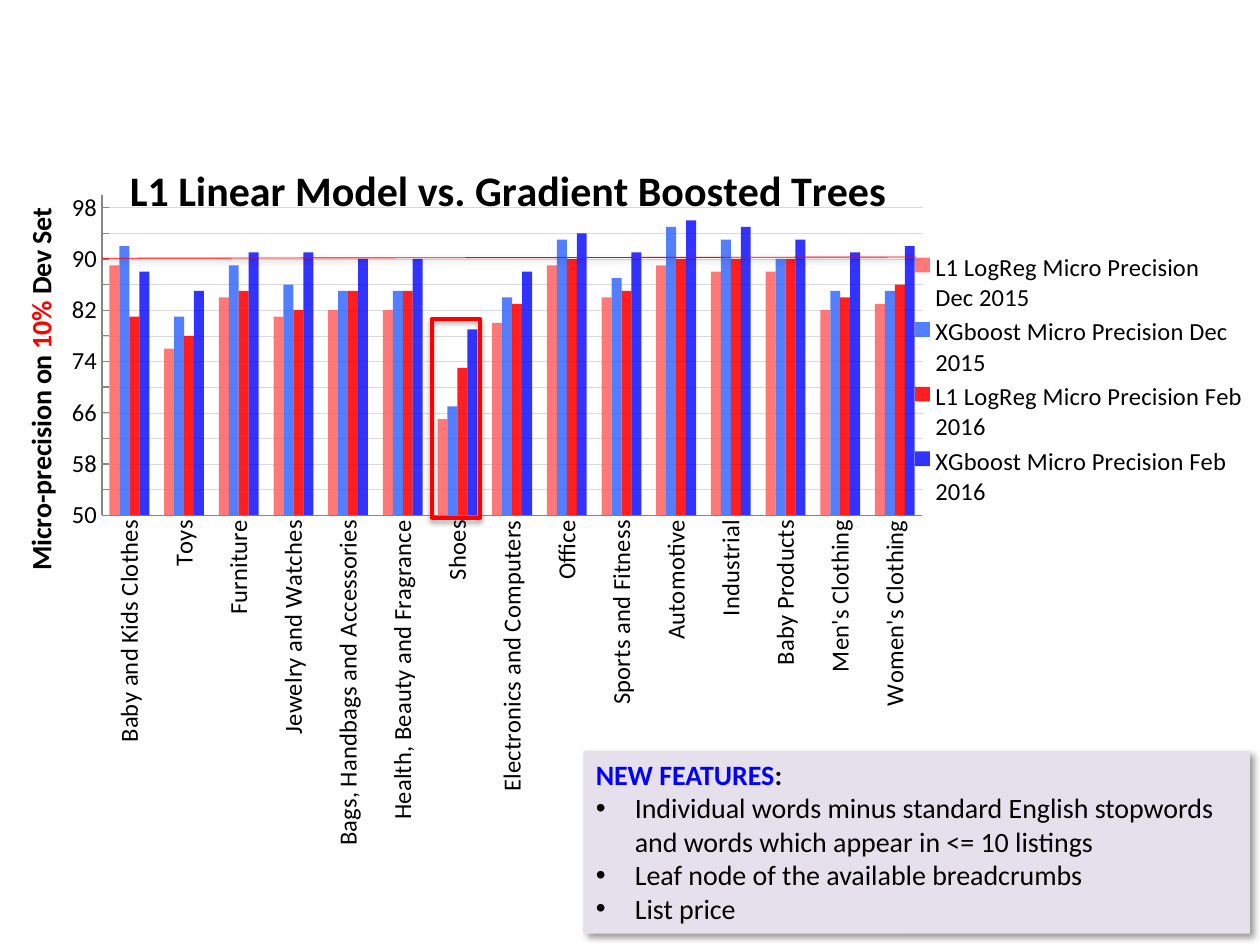
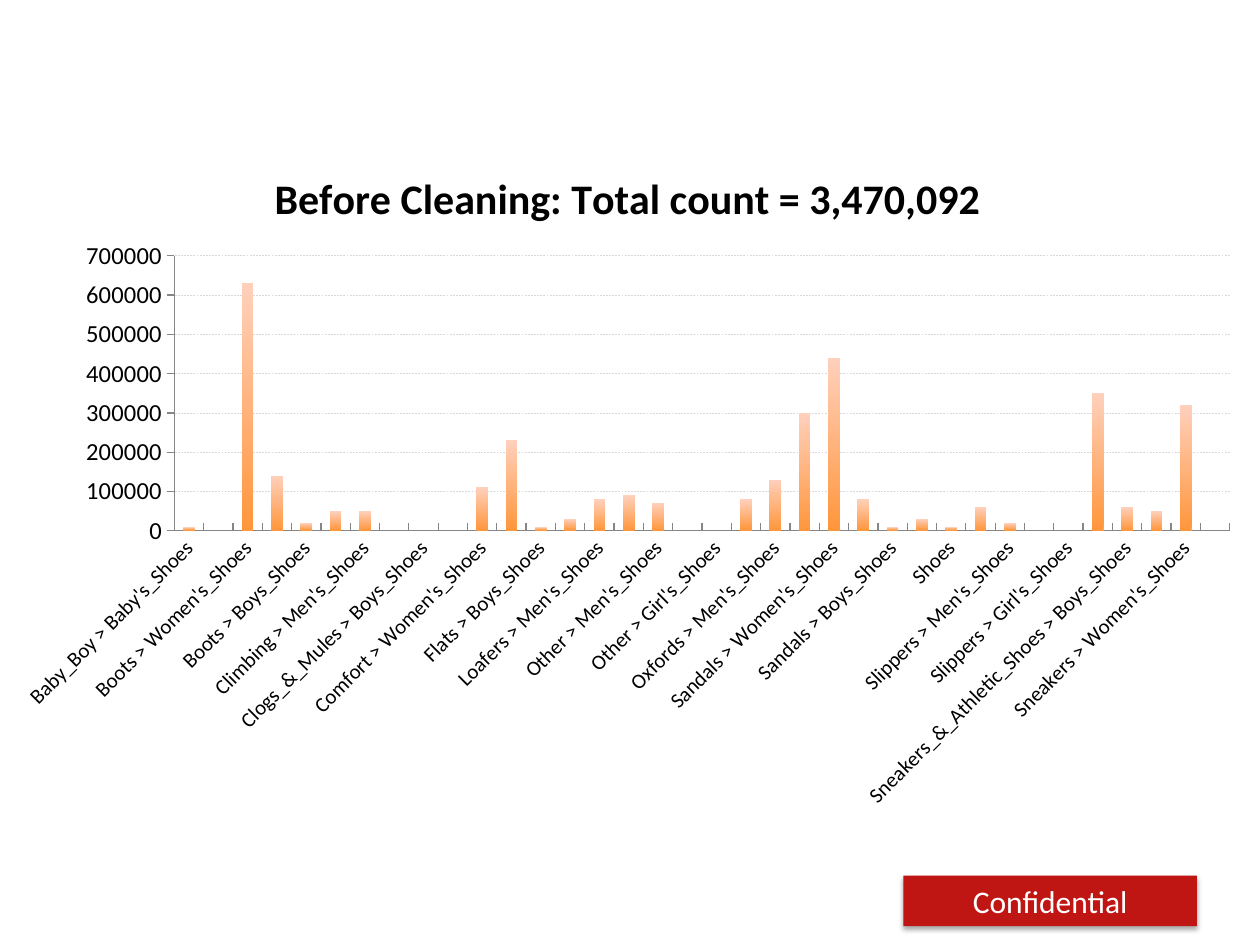
from dataclasses import dataclass

from lxml import etree
from pptx import Presentation
from pptx.chart.data import CategoryChartData
from pptx.dml.color import RGBColor
from pptx.enum.chart import XL_CHART_TYPE, XL_LEGEND_POSITION, XL_TICK_MARK
from pptx.enum.dml import MSO_LINE
from pptx.enum.shapes import MSO_CONNECTOR, MSO_SHAPE
from pptx.enum.text import MSO_ANCHOR, PP_ALIGN
from pptx.oxml.ns import qn
from pptx.util import Inches, Pt

COLUMN = XL_CHART_TYPE.COLUMN_CLUSTERED
RECT = MSO_SHAPE.RECTANGLE
TICK_NONE, TICK_IN, TICK_OUT = XL_TICK_MARK.NONE, XL_TICK_MARK.INSIDE, XL_TICK_MARK.OUTSIDE
BLANK_LAYOUT = 6
COLS, ROWS = 100, 75  # slide grid


@dataclass(frozen=True)
class Theme:
    font: str = "Calibri"
    black: str = "000000"
    white: str = "FFFFFF"
    red: str = "FF0000"
    blue: str = "0000FF"
    band: str = "BF1614"
    panel: str = "E6E0EC"
    axis: str = "868686"
    grid: str = "D9D9D9"
    bar_low: str = "FF963C"
    bar_high: str = "FFD0BC"
    title: int = 24
    band_text: int = 18
    body: int = 16
    label: int = 14
    small: int = 12


T = Theme()
# Shadows: opacity %, blur pt, distance pt, direction in degrees
SOFT = (35, 3.1, 1.8, 90)
LINE_SHADOW = (38, 3.1, 1.6, 90)
PANEL_SHADOW = (40, 4, 3, 45)

CATEGORIES = [
    "Baby and Kids Clothes", "Toys", "Furniture", "Jewelry and Watches",
    "Bags, Handbags and Accessories", "Health, Beauty and Fragrance", "Shoes",
    "Electronics and Computers", "Office", "Sports and Fitness", "Automotive",
    "Industrial", "Baby Products", "Men's Clothing", "Women's Clothing"]
# Series name, colour, opacity %, values
MODELS = [
    ("L1 LogReg Micro Precision Dec 2015", "FF6666", 88,
     [89, 76, 84, 81, 82, 82, 65, 80, 89, 84, 89, 88, 88, 82, 83]),
    ("XGboost Micro Precision Dec 2015", "3366FF", 84,
     [92, 81, 89, 86, 85, 85, 67, 84, 93, 87, 95, 93, 90, 85, 85]),
    ("L1 LogReg Micro Precision Feb 2016", "FF0000", 88,
     [81, 78, 85, 82, 85, 85, 73, 83, 90, 85, 90, 90, 90, 84, 86]),
    ("XGboost Micro Precision Feb 2016", "0000FF", 80,
     [88, 85, 91, 91, 90, 90, 79, 88, 94, 91, 96, 95, 93, 91, 92])]
FEATURES = [
    "Individual words minus standard English stopwords and words which appear in <= 10 listings",
    "Leaf node of the available breadcrumbs",
    "List price"]
# Shoe category and its count in ten thousands
SHOE_COUNTS = [
    ("Baby_Boy > Baby's_Shoes", 1), ("Baby_Girl > Baby's_Shoes", 0),
    ("Boots > Women's_Shoes", 63), ("Boots > Men's_Shoes", 14),
    ("Boots > Boys_Shoes", 2), ("Boots > Girl's_Shoes", 5),
    ("Climbing > Men's_Shoes", 5), ("Clogs_&_Mules > Men's_Shoes", 0),
    ("Clogs_&_Mules > Boys_Shoes", 0), ("Clogs_&_Mules > Girl's_Shoes", 0),
    ("Comfort > Women's_Shoes", 11), ("Flats > Women's_Shoes", 23),
    ("Flats > Boys_Shoes", 1), ("Flats > Girl's_Shoes", 3),
    ("Loafers > Men's_Shoes", 8), ("Other > Women's_Shoes", 9),
    ("Other > Men's_Shoes", 7), ("Other > Boys_Shoes", 0),
    ("Other > Girl's_Shoes", 0), ("Other > Shoes", 8),
    ("Oxfords > Men's_Shoes", 13), ("Pumps > Women's_Shoes", 30),
    ("Sandals > Women's_Shoes", 44), ("Sandals > Men's_Shoes", 8),
    ("Sandals > Boys_Shoes", 1), ("Sandals > Girl's_Shoes", 3),
    ("Shoes", 1), ("Slippers > Women's_Shoes", 6),
    ("Slippers > Men's_Shoes", 2), ("Slippers > Boys_Shoes", 0),
    ("Slippers > Girl's_Shoes", 0), ("Sneakers_&_Athletic_Shoes > Men's_Shoes", 35),
    ("Sneakers_&_Athletic_Shoes > Boys_Shoes", 6),
    ("Sneakers_&_Athletic_Shoes > Girl's_Shoes", 5),
    ("Sneakers > Women's_Shoes", 32), ("Women's_Shoes > Shoes", 0)]


def rgb(color):
    return RGBColor.from_string(color)


def grid(*cells):
    """Turn grid columns and rows into lengths (10 cells to the inch)."""
    return [Inches(c / 10) for c in cells]


def style(font, size, color=T.black, bold=False):
    font.name, font.size, font.bold = T.font, Pt(size), bold
    font.color.rgb = rgb(color)


def add_shadow(shape, opacity, blur, dist, angle):
    props = shape._element.spPr
    effects = props.find(qn("a:effectLst"))
    if effects is None:
        effects = etree.SubElement(props, qn("a:effectLst"))
    shadow = etree.SubElement(effects, qn("a:outerShdw"), blurRad=str(Pt(blur)),
                              dist=str(Pt(dist)), dir=str(angle * 60000), rotWithShape="0")
    color = etree.SubElement(shadow, qn("a:srgbClr"), val=T.black)
    etree.SubElement(color, qn("a:alpha"), val=str(opacity * 1000))


def add_box(s, cells, shadow, fill=None, line=None):
    sp = s.shapes.add_shape(RECT, *grid(*cells))
    sp.shadow.inherit = False
    if fill:
        sp.fill.solid()
        sp.fill.fore_color.rgb = rgb(fill)
    else:
        sp.fill.background()
    if line:
        sp.line.color.rgb = rgb(line)
        sp.line.width = Pt(2.25)
    else:
        sp.line.fill.background()
    add_shadow(sp, *shadow)
    return sp


def add_band_to_master(prs, s):
    """Build the shared band once and move it to the slide master."""
    sp = add_box(s, (71.7, 69.5, 23.3, 4), SOFT, fill=T.band)
    tf = sp.text_frame
    tf.text = "Confidential"
    tf.vertical_anchor = MSO_ANCHOR.MIDDLE
    p = tf.paragraphs[0]
    p.alignment = PP_ALIGN.CENTER
    style(p.runs[0].font, T.band_text, T.white)
    sp._element.nvSpPr.cNvPr.set("id", "99")
    prs.slide_master.shapes._spTree.append(sp._element)


# Chart parts
def set_layout(element, index, x, y, w=None, h=None):
    """Place a chart part by shares of the chart's size."""
    layout = element.find(qn("c:layout"))
    if layout is None:
        layout = etree.Element(qn("c:layout"))
        element.insert(index, layout)
    manual = etree.SubElement(layout, qn("c:manualLayout"))
    values = [("xMode", "edge"), ("yMode", "edge"), ("x", x), ("y", y), ("w", w), ("h", h)]
    if element.tag == qn("c:plotArea"):
        values.insert(0, ("layoutTarget", "inner"))
    for tag, value in values:
        if value is not None:
            etree.SubElement(manual, qn("c:" + tag), val=str(value))


def format_axis(axis, tick, size):
    axis.major_tick_mark, axis.minor_tick_mark = tick, TICK_NONE
    axis.format.line.color.rgb = rgb(T.axis)
    style(axis.tick_labels.font, size)


def add_column_chart(s, cells, data, title, plot, cat_style, val_style, scale, dash):
    chart = s.shapes.add_chart(COLUMN, *grid(*cells), data).chart
    style(chart.font, 10)
    chart.has_legend = False
    tf = chart.chart_title.text_frame
    tf.text = title
    style(tf.paragraphs[0].runs[0].font, T.title, bold=True)
    set_layout(chart._chartSpace.chart.plotArea, 0, *plot)
    chart.plots[0].gap_width, chart.plots[0].overlap = 150, 0
    chart.plots[0].vary_by_categories = False

    tick, size, angle = cat_style
    format_axis(chart.category_axis, tick, size)
    body = chart.category_axis._element.find(qn("c:txPr")).find(qn("a:bodyPr"))
    body.set("rot", str(angle * 60000))
    body.set("vert", "horz")

    axis = chart.value_axis
    format_axis(axis, *val_style)
    axis.minimum_scale, axis.maximum_scale, axis.major_unit = scale
    line = axis.major_gridlines.format.line
    line.color.rgb, line.width, line.dash_style = rgb(T.grid), Pt(0.25), dash
    return chart


def add_axis_title(axis, parts):
    p = axis.axis_title.text_frame.paragraphs[0]
    for text, color in parts:
        r = p.add_run()
        r.text = text
        style(r.font, T.body, color, bold=True)
    body = axis.axis_title._element.find(".//" + qn("a:bodyPr"))
    body.set("rot", str(-90 * 60000))
    body.set("vert", "horz")
    set_layout(axis.axis_title._element, 1, 0.015, 0.09)


def add_legend(chart, *place):
    chart.has_legend = True
    legend = chart.legend
    legend.position = XL_LEGEND_POSITION.RIGHT
    legend.include_in_layout = False
    style(legend.font, T.label)
    set_layout(legend._element, 1, *place)


def add_feature_panel(s):
    tf = add_box(s, (46.3, 59.6, 52.9, 14.5), PANEL_SHADOW, fill=T.panel).text_frame
    tf.word_wrap = True
    tf.vertical_anchor = MSO_ANCHOR.TOP
    p = tf.paragraphs[0]
    p.alignment = PP_ALIGN.LEFT
    for text, color in (("NEW FEATURES", T.blue), (":", T.black)):
        r = p.add_run()
        r.text = text
        style(r.font, T.body, color, bold=True)
    for feature in FEATURES:
        p = tf.add_paragraph()
        p.text = feature
        p.alignment = PP_ALIGN.LEFT
        props = p._p.get_or_add_pPr()
        props.set("marL", str(Inches(0.31)))
        props.set("indent", str(-Inches(0.31)))
        etree.SubElement(props, qn("a:buFont"), typeface="Arial")
        etree.SubElement(props, qn("a:buChar"), char="•")
        style(p.runs[0].font, T.body)


def build_model_slide(s):
    data = CategoryChartData()
    data.categories = CATEGORIES
    for name, _, _, values in MODELS:
        data.add_series(name, values)
    chart = add_column_chart(
        s, (0, 10.5, COLS, 57.8), data, "L1 Linear Model vs. Gradient Boosted Trees",
        (0.081, 0.086, 0.651, 0.44), (TICK_NONE, T.label, -90), (TICK_IN, T.label),
        (50, 100, 4), MSO_LINE.ROUND_DOT)
    set_layout(chart.chart_title._element, 1, 0.097, 0.03)
    add_axis_title(chart.value_axis, [("Micro-precision on ", T.black), ("10%", T.red),
                                      (" Dev Set ", T.black)])
    add_legend(chart, 0.735, 0.16, 0.26, 0.36)
    for series, (_, color, opacity, _) in zip(chart.plots[0].series, MODELS):
        series.format.fill.solid()
        series.format.fill.fore_color.rgb = rgb(color)
        for clr in series._element.iter(qn("a:srgbClr")):
            etree.SubElement(clr, qn("a:alpha"), val=str(opacity * 1000))

    # Reference line at 90
    target = s.shapes.add_connector(MSO_CONNECTOR.STRAIGHT, *grid(8.1, 20.5, 72.7, 20.4))
    target.line.color.rgb = rgb(T.red)
    target.line.width = Pt(0.5)
    add_shadow(target, *LINE_SHADOW)

    add_feature_panel(s)
    # Frame around Shoes
    add_box(s, (34.3, 25.3, 3.8, 15.8), SOFT, line=T.red)


def build_count_slide(s):
    data = CategoryChartData()
    data.categories = [name for name, _ in SHOE_COUNTS]
    data.add_series("Series 1", [count * 10000 for _, count in SHOE_COUNTS])
    chart = add_column_chart(
        s, (0, 11.3, 99.6, 53.9), data, "Before Cleaning: Total count = 3,470,092",
        (0.139, 0.167, 0.841, 0.405), (TICK_IN, T.small, -45), (TICK_OUT, T.label),
        (0, 700000, 100000), MSO_LINE.DASH)
    fill = chart.plots[0].series[0].format.fill
    fill.gradient()
    fill.gradient_angle = 90
    for stop, color in zip(fill.gradient_stops, (T.bar_low, T.bar_high)):
        stop.color.rgb = rgb(color)


def main():
    prs = Presentation()
    prs.slide_width, prs.slide_height = grid(COLS, ROWS)
    builders = (build_model_slide, build_count_slide)
    slides = [prs.slides.add_slide(prs.slide_layouts[BLANK_LAYOUT]) for _ in builders]
    add_band_to_master(prs, slides[0])
    for build, s in zip(builders, slides):
        build(s)
    prs.save("out.pptx")


if __name__ == "__main__":
    main()
